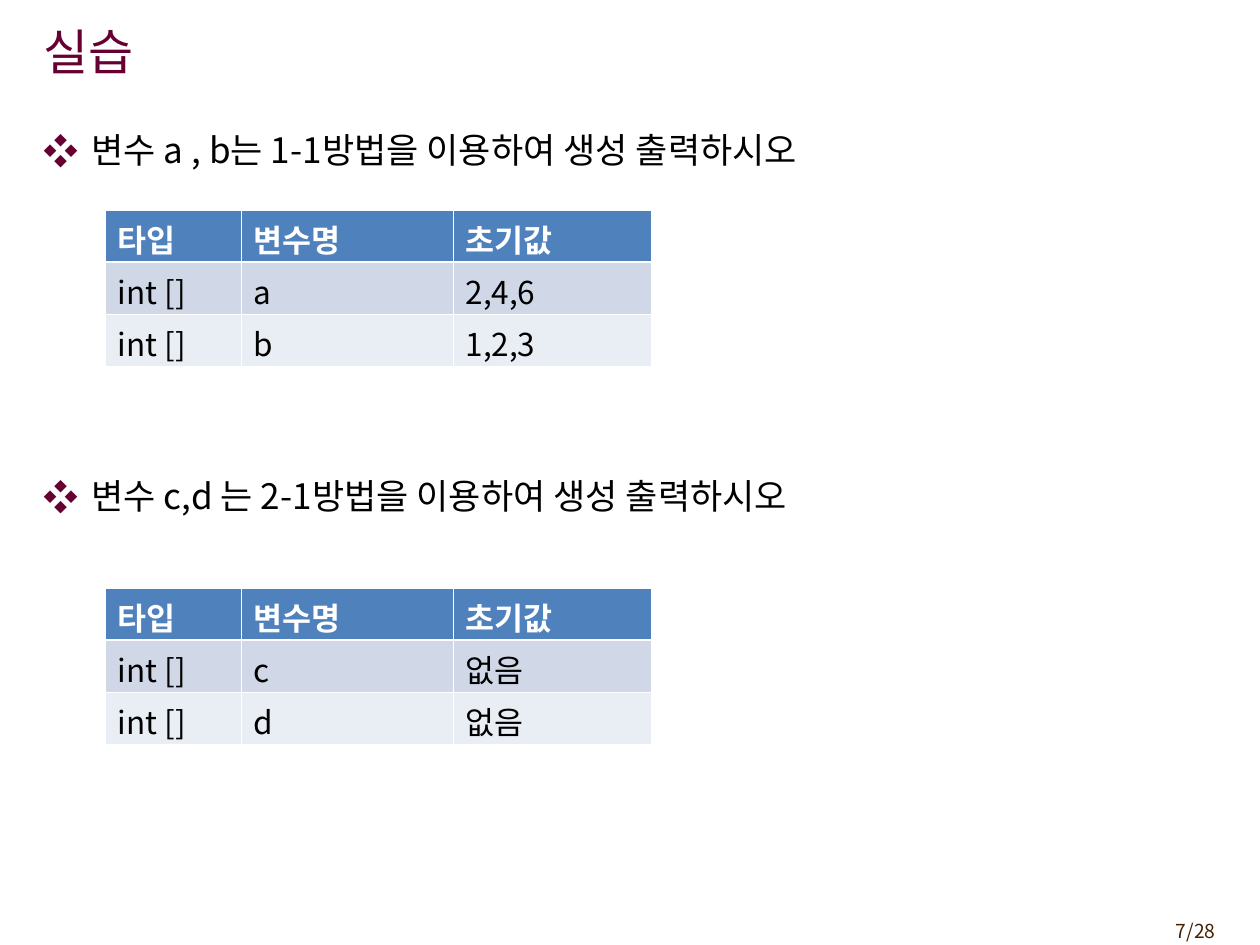
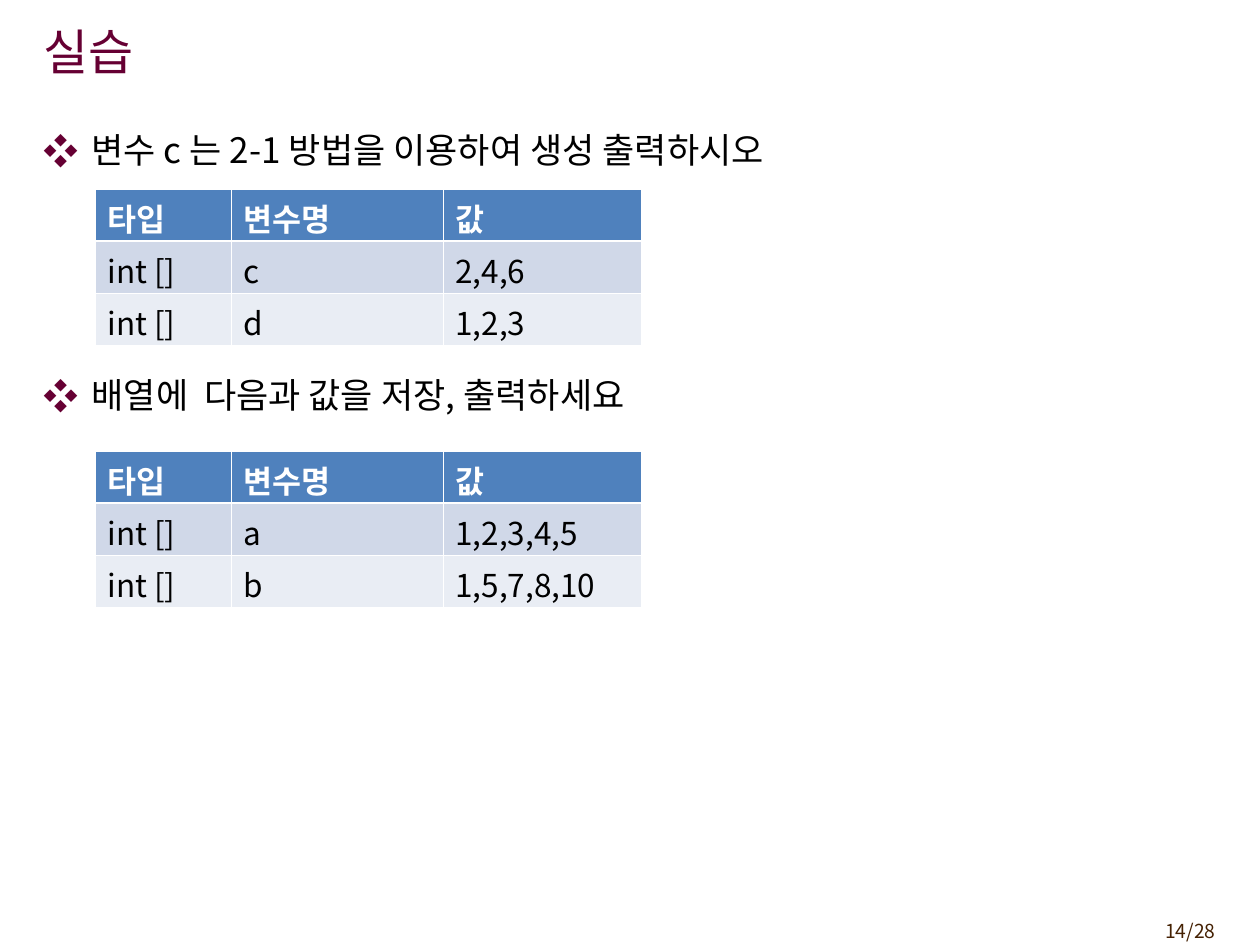
"""Build two practice slides on creating int arrays."""
from lxml.etree import SubElement
from pptx import Presentation
from pptx.dml.color import RGBColor
from pptx.enum.text import MSO_ANCHOR, MSO_AUTO_SIZE, PP_ALIGN
from pptx.oxml.ns import qn
from pptx.util import Pt

FONT = "Noto Sans CJK KR"
WINE = RGBColor(0x66, 0x00, 0x33)
BROWN = RGBColor(0x45, 0x21, 0x03)
BLACK = RGBColor(0, 0, 0)
WHITE = RGBColor(255, 255, 255)
BLUE = RGBColor(0x4F, 0x81, 0xBD)
BANDS = [RGBColor(0xD0, 0xD8, 0xE8), RGBColor(0xE9, 0xED, 0xF4)]

TITLE = "실습"
PAGES = 28
SLIDES = [
    {
        "page": 7, "left": 105, "gap": 174,
        "tasks": ["변수 a , b는 1-1방법을 이용하여 생성 출력하시오",
                  "변수 c,d 는 2-1방법을 이용하여 생성 출력하시오"],
        "head": ["타입", "변수명", "초기값"],
        "grids": [(210, [("a", "2,4,6"), ("b", "1,2,3")]),
                  (588, [("c", "없음"), ("d", "없음")])],
    },
    {
        "page": 14, "left": 95, "gap": 116,
        "tasks": ["변수 c 는 2-1 방법을 이용하여 생성 출력하시오",
                  "배열에  다음과 값을 저장, 출력하세요"],
        "head": ["타입", "변수명", "값"],
        "grids": [(189, [("c", "2,4,6"), ("d", "1,2,3")]),
                  (451, [("a", "1,2,3,4,5"), ("b", "1,5,7,8,10")])],
    },
]
COLS = [136, 212, 198]
ROW = 52
THIN, THICK = 0.45, 1.47


def px(n):
    return round(n * 914400 / 126)


def place(shape, *box):
    shape.left, shape.top, shape.width, shape.height = map(px, box)


def style(para, size, color, bold=False):
    for run in para.runs:
        font = run.font
        font.name, font.size, font.bold = FONT, Pt(size), bold
        font.color.rgb = color
        SubElement(font._element, qn("a:ea"), typeface=FONT)


def bullet(para):
    props = para._p.get_or_add_pPr()
    props.set("marL", str(px(48)))
    props.set("indent", str(px(-48)))
    tint = SubElement(props, qn("a:buClr"))
    SubElement(tint, qn("a:srgbClr"), val=str(WINE))
    SubElement(props, qn("a:buFont"), typeface=FONT)
    SubElement(props, qn("a:buChar"), char="❖")


def border(cell, row):
    props = cell._tc.get_or_add_tcPr()
    sides = {"L": THIN, "R": THIN,
             "T": THICK if row == 1 else THIN,
             "B": THICK if row == 0 else THIN}
    for side, width in sides.items():
        line = SubElement(props, qn(f"a:ln{side}"), w=str(Pt(width)))
        fill = SubElement(line, qn("a:solidFill"))
        SubElement(fill, qn("a:srgbClr"), val=str(WHITE))


def add_grid(slide, left, top, rows):
    frame = slide.shapes.add_table(len(rows), len(COLS), px(left), px(top),
                                   px(sum(COLS)), px(ROW * len(rows)))
    table = frame.table
    table.horz_banding = False
    for col, width in zip(table.columns, COLS):
        col.width = px(width)
    for r, row in enumerate(rows):
        for c, text in enumerate(row):
            cell = table.cell(r, c)
            border(cell, r)
            cell.fill.solid()
            cell.fill.fore_color.rgb = BANDS[(r - 1) % 2] if r else BLUE
            cell.text_frame.text = text
            style(cell.text_frame.paragraphs[0], 18,
                  BLACK if r else WHITE, r == 0)


def add_title(slide):
    shape = slide.shapes.title
    place(shape, 31, 11, 1042, 79)
    frame = shape.text_frame
    frame.text = TITLE
    frame.auto_size = MSO_AUTO_SIZE.NONE
    frame.vertical_anchor = MSO_ANCHOR.MIDDLE
    para = frame.paragraphs[0]
    para.alignment = PP_ALIGN.LEFT
    style(para, 28, WINE)


def add_tasks(slide, tasks, gap):
    shape = slide.placeholders[1]
    place(shape, 31, 128, 1197, 788)
    frame = shape.text_frame
    frame.text = "\n".join(tasks)
    frame.auto_size = MSO_AUTO_SIZE.NONE
    frame.margin_top = 0
    for para, space in zip(frame.paragraphs, (0, gap)):
        para.space_before = Pt(space)
        bullet(para)
        style(para, 20, BLACK)


def add_page(slide, page):
    box = slide.shapes.add_textbox(px(1124), px(913), px(104), px(36))
    box.text_frame.word_wrap = True
    box.text_frame.text = f"{page}/{PAGES}"
    para = box.text_frame.paragraphs[0]
    para.alignment = PP_ALIGN.RIGHT
    style(para, 11, BROWN)


def main():
    deck = Presentation()
    deck.slide_width, deck.slide_height = px(1260), px(945)
    for data in SLIDES:
        slide = deck.slides.add_slide(deck.slide_layouts[1])
        add_page(slide, data["page"])
        add_tasks(slide, data["tasks"], data["gap"])
        add_title(slide)
        for top, rows in data["grids"]:
            body = [("int []", *row) for row in rows]
            add_grid(slide, data["left"], top, [data["head"], *body])
    deck.save("out.pptx")


if __name__ == "__main__":
    main()
